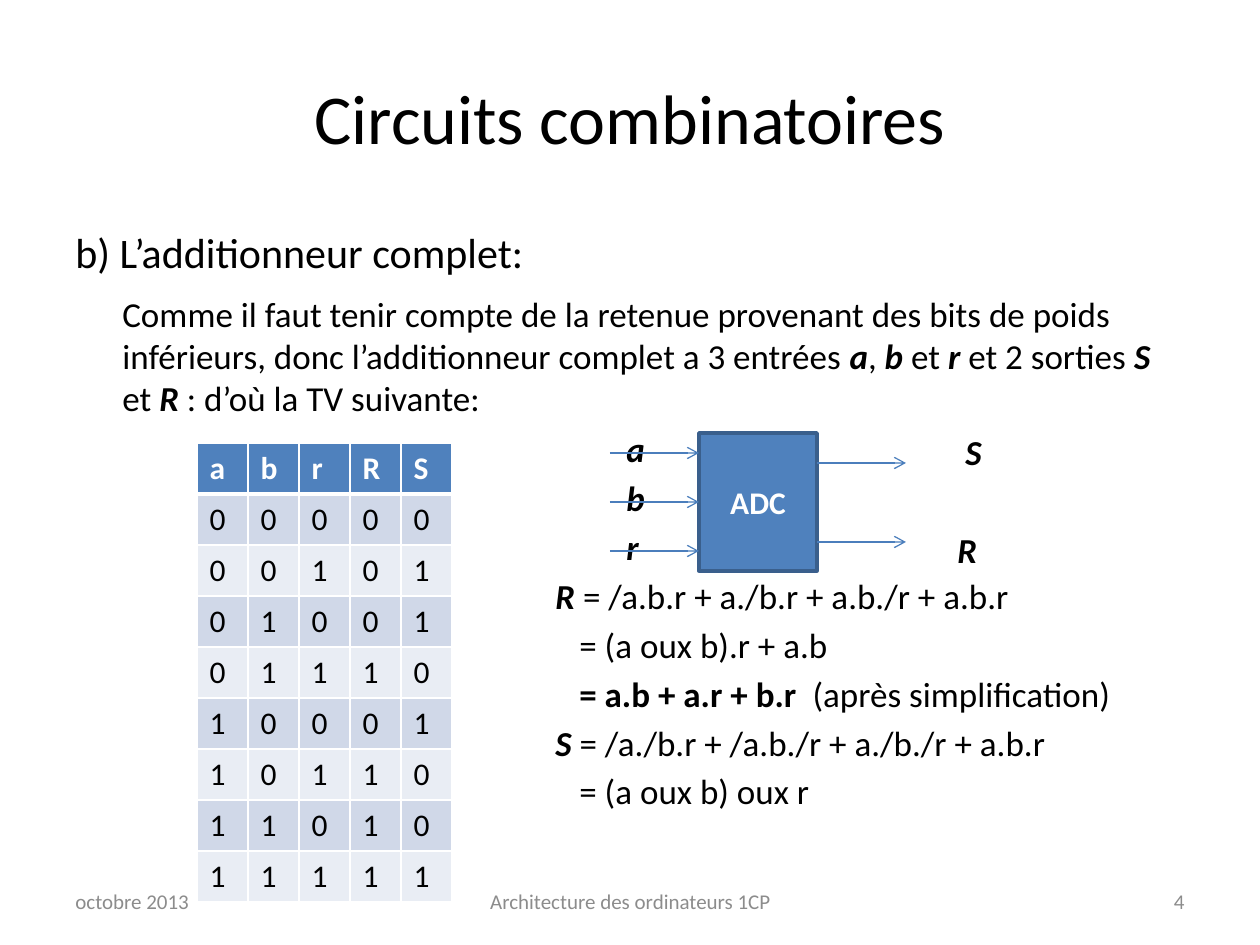
from pptx import Presentation
from pptx.dml.color import RGBColor as Rgb
from pptx.enum.shapes import MSO_CONNECTOR as Link, MSO_SHAPE as Form
from pptx.enum.text import MSO_ANCHOR as Anchor, PP_ALIGN as Align
from pptx.oxml.ns import qn
from pptx.util import Pt
from lxml.etree import SubElement as Sub

PX = 914400 // 126
FONT = "Calibri"
HUE = {"ink": "000000", "white": "FFFFFF", "grey": "8C8C8C", "blue": "4F81BD",
       "edge": "3A5F8C", "wire": "4B7EBC", "dark": "D0D8E8", "light": "E9EDF4"}

LABELS = [
    ("Circuits combinatoires", (63, 38, 1134, 157), 40, "ink", Align.CENTER, ""),
    ("S", (953, 417, 60, 68), 20, "ink", Align.LEFT, "bi"),
    ("R", (945, 515, 60, 68), 20, "ink", Align.LEFT, "bi"),
    ("octobre 2013", (63, 876, 294, 50), 12, "grey", Align.LEFT, ""),
    ("4", (903, 876, 294, 50), 12, "grey", Align.RIGHT, ""),
    ("Architecture des ordinateurs 1CP", (431, 876, 399, 50), 12, "grey", Align.CENTER, ""),
]
BODY = (63, 220, 1134, 675)
INTRO, PORT, EQ, NEXT = 47, 551, 480, 504
LINES = [
    ([("b) L’additionneur complet:", "")], 24, 4.8, 0),
    ([("Comme il faut tenir compte de la retenue provenant des bits de poids "
       "inférieurs, donc l’additionneur complet a 3 entrées ", ""), ("a", "bi"),
      (", ", ""), ("b", "bi"), (" et ", ""), ("r", "bi"), (" et 2 sorties ", ""),
      ("S", "bi"), (" et ", ""), ("R ", "bi"), (": d’où la TV suivante:", "")],
     20, 9.2, INTRO),
    ([("a", "bi")], 20, 5.2, PORT),
    ([("b", "bi")], 20, 3.9, PORT),
    ([("r", "bi")], 20, 3.9, PORT),
    ([("R ", "bi"), ("= /a.b.r + a./b.r + a.b./r + a.b.r", "")], 20, 3.9, EQ),
    ([("= (a oux b).r + a.b", "")], 20, 3.9, NEXT),
    ([("= a.b + a.r + b.r  ", "b"), ("(après simplification)", "")], 20, 3.9, NEXT),
    ([("S ", "bi"), ("= /a./b.r + /a.b./r + a./b./r + a.b.r", "")], 20, 3.9, EQ),
    ([("= (a oux b) oux r", "")], 20, 3.9, NEXT),
]
TRUTH = ["abrRS", "00000", "00101", "01001", "01110",
         "10001", "10110", "11010", "11111"]
GRID, CELL = (197, 443), 51
BOX = (699, 433, 118, 138)
WIRES = [(610, 699, y) for y in (453, 502, 551)] + [(817, 906, y) for y in (463, 542)]

deck = Presentation()
deck.slide_width, deck.slide_height = 1260 * PX, 945 * PX
slide = deck.slides.add_slide(deck.slide_layouts[6])
shapes = slide.shapes


def scale(vals):
    return [v * PX for v in vals]


def style(font, size, hue, mark=""):
    font.name, font.size = FONT, Pt(size)
    font.bold, font.italic = "b" in mark, "i" in mark
    font.color.rgb = Rgb.from_string(HUE[hue])


def paint(fill, hue):
    fill.solid()
    fill.fore_color.rgb = Rgb.from_string(HUE[hue])


def label(text, at, size, hue, align, mark):
    frame = shapes.add_textbox(*scale(at)).text_frame
    frame.word_wrap, frame.vertical_anchor = True, Anchor.MIDDLE
    para = frame.paragraphs[0]
    para.text, para.alignment = text, align
    style(para.font, size, hue, mark)


def body():
    frame = shapes.add_textbox(*scale(BODY)).text_frame
    frame.word_wrap = True
    for i, (runs, size, gap, left) in enumerate(LINES):
        para = frame.add_paragraph() if i else frame.paragraphs[0]
        style(para.font, size, "ink")
        para.space_before = Pt(gap)
        props = para._p.get_or_add_pPr()
        props.set("marL", str(left * PX))
        props.set("indent", "0")
        for text, mark in runs:
            run = para.add_run()
            run.text = text
            style(run.font, size, "ink", mark)


def border(cell, head):
    props = cell._tc.get_or_add_tcPr()
    for i, side in enumerate(("lnL", "lnR", "lnT", "lnB")):
        wide = 3 if head and side == "lnB" else 1
        line = props.makeelement(qn("a:" + side), {"w": str(Pt(wide))})
        Sub(Sub(line, qn("a:solidFill")), qn("a:srgbClr"), val=HUE["white"])
        props.insert(i, line)


def table():
    rows, cols = len(TRUTH), len(TRUTH[0])
    grid = shapes.add_table(rows, cols, *scale((*GRID, cols * CELL, rows * CELL))).table
    for r, row in enumerate(TRUTH):
        for c, text in enumerate(row):
            cell = grid.cell(r, c)
            cell.text = text
            font = cell.text_frame.paragraphs[0].font
            style(font, 18, "ink" if r else "white", "" if r else "b")
            paint(cell.fill, ("light", "dark")[r % 2] if r else "blue")
            border(cell, not r)


def adder():
    box = shapes.add_shape(Form.RECTANGLE, *scale(BOX))
    box.shadow.inherit = False
    paint(box.fill, "blue")
    paint(box.line.fill, "edge")
    box.line.width = Pt(2)
    box.text_frame.vertical_anchor = Anchor.MIDDLE
    para = box.text_frame.paragraphs[0]
    para.text, para.alignment = "ADC", Align.CENTER
    style(para.font, 18, "white", "b")


def wire(start, end, y):
    link = shapes.add_connector(Link.STRAIGHT, *scale((start, y, end, y)))
    paint(link.line.fill, "wire")
    link.line.width = Pt(0.75)
    Sub(link.line._get_or_add_ln(), qn("a:tailEnd"), type="arrow")
    Sub(link._element.spPr, qn("a:effectLst"))


body()
table()
adder()
for ends in WIRES:
    wire(*ends)
for item in LABELS:
    label(*item)
deck.save("out.pptx")
